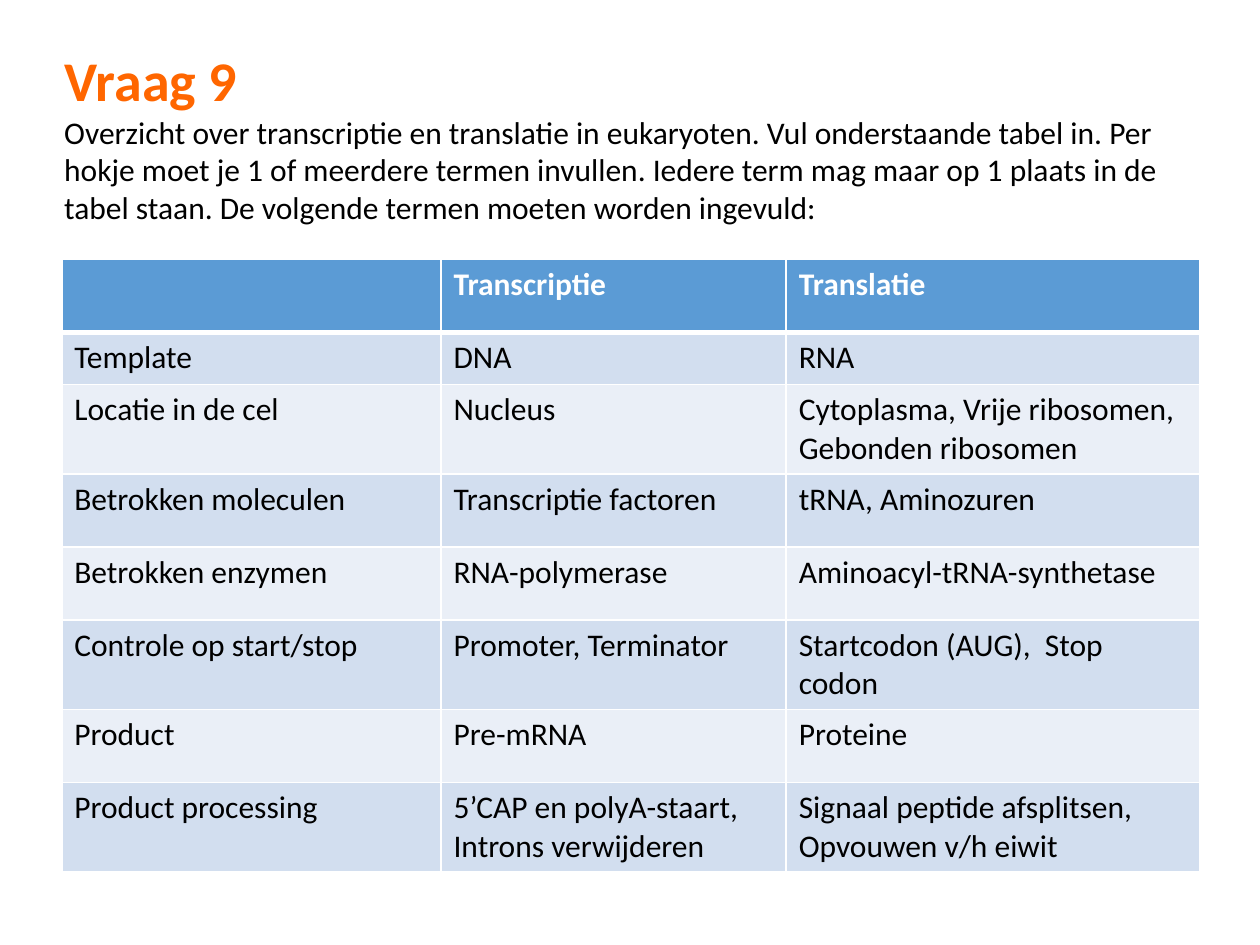
from pptx import Presentation
from pptx.dml.color import RGBColor
from pptx.enum.text import MSO_ANCHOR, MSO_AUTO_SIZE, PP_ALIGN
from pptx.oxml.ns import qn
from pptx.util import Inches, Pt
from lxml.etree import SubElement

COLORS = {
    "title": "FF6600",
    "text": "000000",
    "white": "FFFFFF",
    "header": "5B9BD5",
    "odd": "D2DEEF",
    "even": "EAEFF7",
}
QUESTION = (
    "Overzicht over transcriptie en translatie in eukaryoten. Vul onderstaande "
    "tabel in. Per hokje moet je 1 of meerdere termen invullen. Iedere term mag "
    "maar op 1 plaats in de tabel staan. De volgende termen moeten worden ingevuld:"
)
TERMS = [
    ("", "Transcriptie", "Translatie"),
    ("Template", "DNA", "RNA"),
    ("Locatie in de cel", "Nucleus", "Cytoplasma, Vrije ribosomen, Gebonden ribosomen"),
    ("Betrokken moleculen", "Transcriptie factoren", "tRNA, Aminozuren"),
    ("Betrokken enzymen", "RNA-polymerase", "Aminoacyl-tRNA-synthetase"),
    ("Controle op start/stop", "Promoter, Terminator", "Startcodon (AUG),  Stop codon"),
    ("Product", "Pre-mRNA", "Proteine"),
    (
        "Product processing",
        "5’CAP en polyA-staart,\nIntrons verwijderen",
        "Signaal peptide afsplitsen,\nOpvouwen v/h eiwit",
    ),
]
COLUMN_WIDTHS = [3.01, 2.74, 3.28]
ROW_HEIGHTS = [0.58, 0.41] + [0.58] * 6


def format_text(text_frame, color, size=18, bold=False):
    """Give every paragraph of a text frame the same font."""
    for paragraph in text_frame.paragraphs:
        format_paragraph(paragraph, color, size, bold)


def format_paragraph(paragraph, color, size, bold):
    """Set the font and left alignment of a paragraph."""
    paragraph.alignment = PP_ALIGN.LEFT
    values = {"name": "Calibri", "size": Pt(size), "bold": bold}
    for name, value in values.items():
        setattr(paragraph.font, name, value)
    paragraph.font.color.rgb = RGBColor.from_string(COLORS[color])


def add_question(slide, left, top, width, height):
    """Place the heading and the question text in the title placeholder."""
    title = slide.shapes.title
    box = {"left": left, "top": top, "width": width, "height": height}
    for name, value in box.items():
        setattr(title, name, Inches(value))
    text_frame = title.text_frame
    text_frame.text = f"Vraag 9\n{QUESTION}"
    frame_format = {
        "word_wrap": True,
        "auto_size": MSO_AUTO_SIZE.NONE,
        "vertical_anchor": MSO_ANCHOR.TOP,
    }
    for name, value in frame_format.items():
        setattr(text_frame, name, value)
    heading, question = text_frame.paragraphs
    format_paragraph(heading, "title", 32, True)
    format_paragraph(question, "text", 18, False)


def set_borders(cell, widths):
    """Draw white cell borders, with a width in points for each side."""
    properties = cell._tc.get_or_add_tcPr()
    for index, (side, width) in enumerate(widths.items()):
        line = properties.makeelement(qn(f"a:ln{side}"), {"w": str(Pt(width))})
        fill = SubElement(line, qn("a:solidFill"))
        SubElement(fill, qn("a:srgbClr"), val=COLORS["white"])
        properties.insert(index, line)


def add_terms_table(slide, left, top, width, height):
    """Add the banded table of terms."""
    table = slide.shapes.add_table(
        len(TERMS), len(COLUMN_WIDTHS),
        Inches(left), Inches(top), Inches(width), Inches(height),
    ).table
    for column, column_width in zip(table.columns, COLUMN_WIDTHS):
        column.width = Inches(column_width)
    for row, row_height in zip(table.rows, ROW_HEIGHTS):
        row.height = Inches(row_height)
    for row_index, row_terms in enumerate(TERMS):
        is_header = row_index == 0
        band = "header" if is_header else ("even", "odd")[row_index % 2]
        widths = {
            "L": 1,
            "R": 1,
            "T": 3 if row_index == 1 else 1,
            "B": 3 if is_header else 1,
        }
        for column_index, term in enumerate(row_terms):
            cell = table.cell(row_index, column_index)
            cell.text = term
            cell.fill.solid()
            cell.fill.fore_color.rgb = RGBColor.from_string(COLORS[band])
            format_text(cell.text_frame, "white" if is_header else "text", bold=is_header)
            set_borders(cell, widths)


def main():
    """Build and save the presentation."""
    presentation = Presentation()
    presentation.slide_width = Inches(10)
    presentation.slide_height = Inches(7.5)
    slide = presentation.slides.add_slide(presentation.slide_layouts[5])
    add_question(slide, 0.41, 0.31, 9, 1.55)
    add_terms_table(slide, 0.49, 2.06, sum(COLUMN_WIDTHS), sum(ROW_HEIGHTS))
    presentation.save("out.pptx")


if __name__ == "__main__":
    main()
